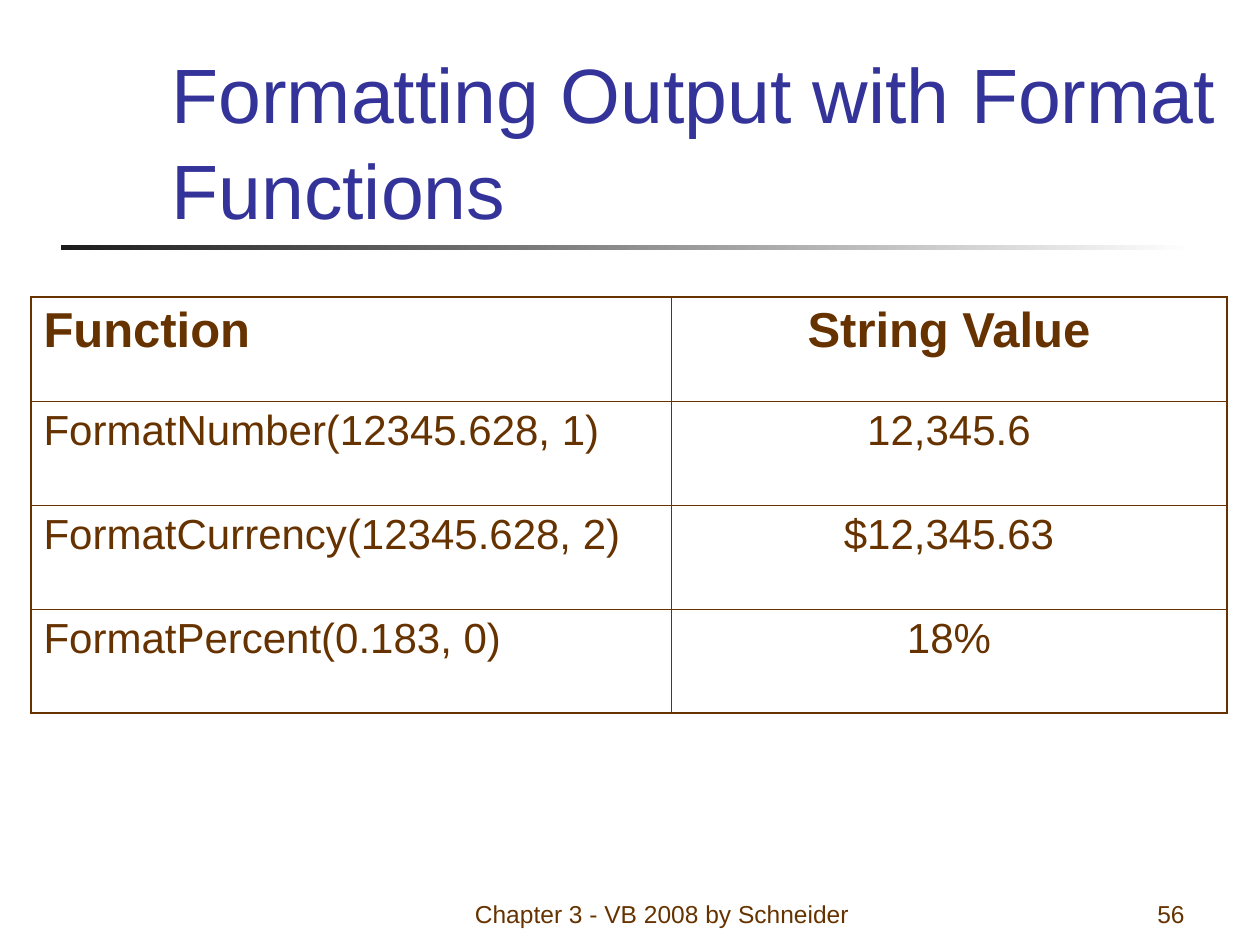
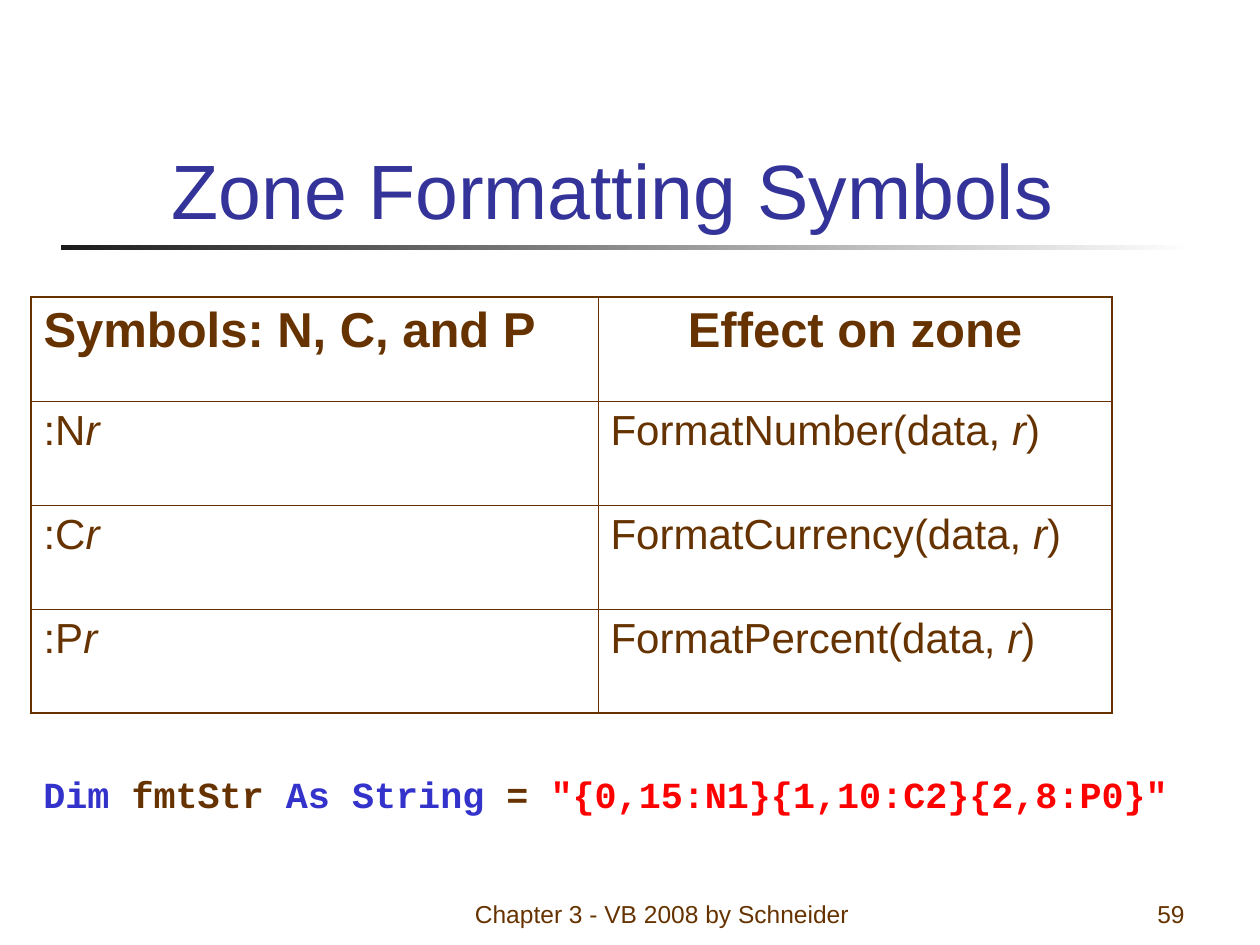
import pptx
import pptx.util
import pptx.dml.color
import pptx.enum.shapes
import pptx.enum.text
import pptx.oxml
import pptx.oxml.ns

RGB = pptx.dml.color.RGBColor
ALIGN = pptx.enum.text.PP_ALIGN
ANCHOR = pptx.enum.text.MSO_ANCHOR

# Shared look
TITLE_BLUE = RGB(0x33, 0x33, 0x99)
BROWN = RGB(0x66, 0x33, 0x00)
KEYWORD_BLUE = RGB(0x33, 0x33, 0xCC)
STRING_RED = RGB(0xFF, 0x00, 0x00)
RULE_DARK = RGB(0x1C, 0x1C, 0x1C)
WHITE = RGB(0xFF, 0xFF, 0xFF)
BODY_FONT, CODE_FONT = "Arial", "Courier New"
OUTER_LINE, INNER_LINE = 1.08, 0.45
FOOTER = "Chapter 3 - VB 2008 by Schneider"

# Boxes in px: left, top, width, height
PX_PER_INCH = 126
PAGE = (1260, 945)
TITLE_BOX = (159, 84, 1074, 157)
RULE_BOX = (61, 245, 1134, 5)
FOOTER_BOX = (462, 872, 400, 63)
NUMBER_BOX = (935, 872, 262, 63)
TABLE_CORNER = (31, 297)
ROW_HEIGHT = 104
CODE_BOX = (31, 766, 1197, 57)


def emu(px):
    return pptx.util.Inches(px / PX_PER_INCH)


def place(box):
    return [emu(px) for px in box]


def add_run(paragraph, text, size, color, font=BODY_FONT, bold=False, italic=False):
    run = paragraph.add_run()
    run.text = text
    run.font.name, run.font.size = font, pptx.util.Pt(size)
    run.font.color.rgb = color
    run.font.bold, run.font.italic = bold, italic


def add_text_line(slide, box, align, anchor):
    """Add a one-paragraph text box and return its paragraph."""
    frame = slide.shapes.add_textbox(*place(box)).text_frame
    frame.word_wrap = True
    frame.vertical_anchor = anchor
    paragraph = frame.paragraphs[0]
    paragraph.alignment = align
    return paragraph


def add_base_slide(deck, heading, number):
    slide = deck.slides.add_slide(deck.slide_layouts.get_by_name("Title Only"))

    # Fading rule under the title
    rule = slide.shapes.add_shape(
        pptx.enum.shapes.MSO_SHAPE.RECTANGLE, *place(RULE_BOX))
    rule.shadow.inherit = False
    rule.line.fill.background()
    rule.fill.gradient()
    rule.fill.gradient_angle = 0
    for stop, color in zip(rule.fill.gradient_stops, (RULE_DARK, WHITE)):
        stop.color.rgb = color

    # Title
    title = slide.shapes.title
    title.left, title.top, title.width, title.height = place(TITLE_BOX)
    frame = title.text_frame
    frame.auto_size = pptx.enum.text.MSO_AUTO_SIZE.NONE
    frame.vertical_anchor = ANCHOR.BOTTOM
    frame.paragraphs[0].alignment = ALIGN.LEFT
    frame.paragraphs[0].line_spacing = 1.04
    add_run(frame.paragraphs[0], heading, 44, TITLE_BLUE)

    # Footer and slide number
    for box, align, text in ((FOOTER_BOX, ALIGN.CENTER, FOOTER),
                             (NUMBER_BOX, ALIGN.RIGHT, str(number))):
        add_run(add_text_line(slide, box, align, ANCHOR.BOTTOM), text, 14, BROWN)
    return slide


def set_borders(cell, widths):
    """Draw the left, right, top and bottom borders, widths in points."""
    properties = cell._tc.get_or_add_tcPr()
    for index, (side, width) in enumerate(zip("LRTB", widths)):
        properties.insert(index, pptx.oxml.parse_xml(
            f'<a:ln{side} {pptx.oxml.ns.nsdecls("a")} w="{pptx.util.Pt(width)}">'
            f'<a:solidFill><a:srgbClr val="{BROWN}"/></a:solidFill></a:ln{side}>'))


def add_function_table(slide, column_widths, rows, value_align):
    """Add a table; each cell is a list of text pieces, every second one italic."""
    last_row, last_column = len(rows) - 1, len(column_widths) - 1
    box = (*TABLE_CORNER, sum(column_widths), ROW_HEIGHT * len(rows))
    table = slide.shapes.add_table(
        len(rows), len(column_widths), *place(box)).table
    table.first_row = table.horz_banding = False
    for column, width in zip(table.columns, column_widths):
        column.width = emu(width)

    for r, row in enumerate(rows):
        header = r == 0
        for c, pieces in enumerate(row):
            cell = table.cell(r, c)
            cell.fill.background()
            at_edge = (c == 0, c == last_column, r == 0, r == last_row)
            set_borders(cell, [OUTER_LINE if e else INNER_LINE for e in at_edge])
            paragraph = cell.text_frame.paragraphs[0]
            paragraph.space_before = pptx.util.Pt(7 if header else 6)
            if c == 0:
                paragraph.alignment = ALIGN.LEFT
            else:
                paragraph.alignment = ALIGN.CENTER if header else value_align
            for i, piece in enumerate(pieces):
                add_run(paragraph, piece, 28 if header else 24, BROWN,
                        bold=header, italic=i % 2 == 1)


def add_code_line(slide, box, pieces):
    paragraph = add_text_line(slide, box, ALIGN.LEFT, ANCHOR.TOP)
    for text, color in pieces:
        add_run(paragraph, text, 21, color, font=CODE_FONT, bold=True)


def build_format_functions(deck):
    slide = add_base_slide(deck, "Formatting Output with Format Functions", 56)
    calls = [
        ("Function", "String Value"),
        ("FormatNumber(12345.628, 1)", "12,345.6"),
        ("FormatCurrency(12345.628, 2)", "$12,345.63"),
        ("FormatPercent(0.183, 0)", "18%"),
    ]
    rows = [[[text] for text in call] for call in calls]
    add_function_table(slide, (640, 556), rows, ALIGN.CENTER)


def build_zone_symbols(deck):
    slide = add_base_slide(deck, "Zone Formatting Symbols", 59)
    rows = [[["Symbols: N, C, and P"], ["Effect on zone"]]]
    for kind in ("Number", "Currency", "Percent"):
        rows.append([[f":{kind[0]}", "r"], [f"Format{kind}(data, ", "r", ")"]])
    add_function_table(slide, (567, 514), rows, ALIGN.LEFT)
    add_code_line(slide, CODE_BOX, [
        ("Dim", KEYWORD_BLUE),
        (" fmtStr ", BROWN),
        ("As String", KEYWORD_BLUE),
        (" = ", BROWN),
        ('"{0,15:N1}{1,10:C2}{2,8:P0}"', STRING_RED),
    ])


def main():
    deck = pptx.Presentation()
    deck.slide_width, deck.slide_height = place(PAGE)
    build_format_functions(deck)
    build_zone_symbols(deck)
    deck.save("out.pptx")


if __name__ == "__main__":
    main()
